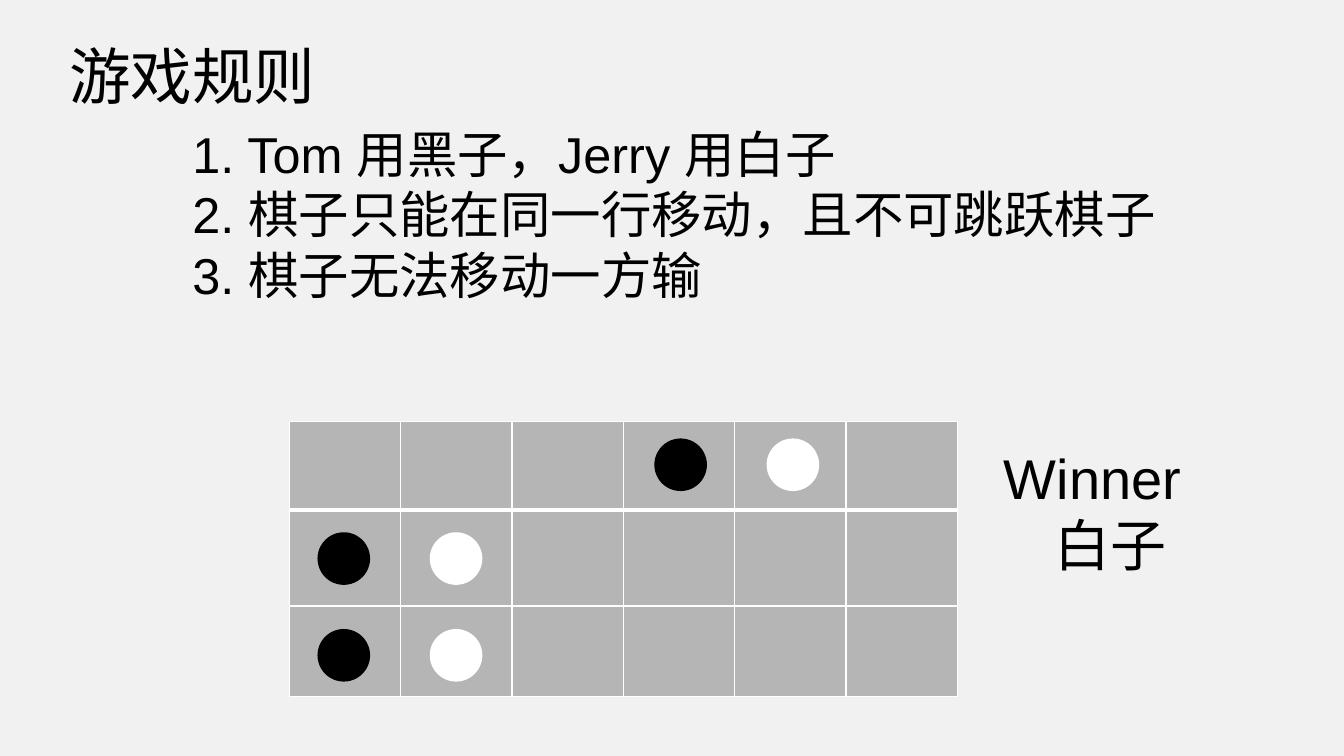
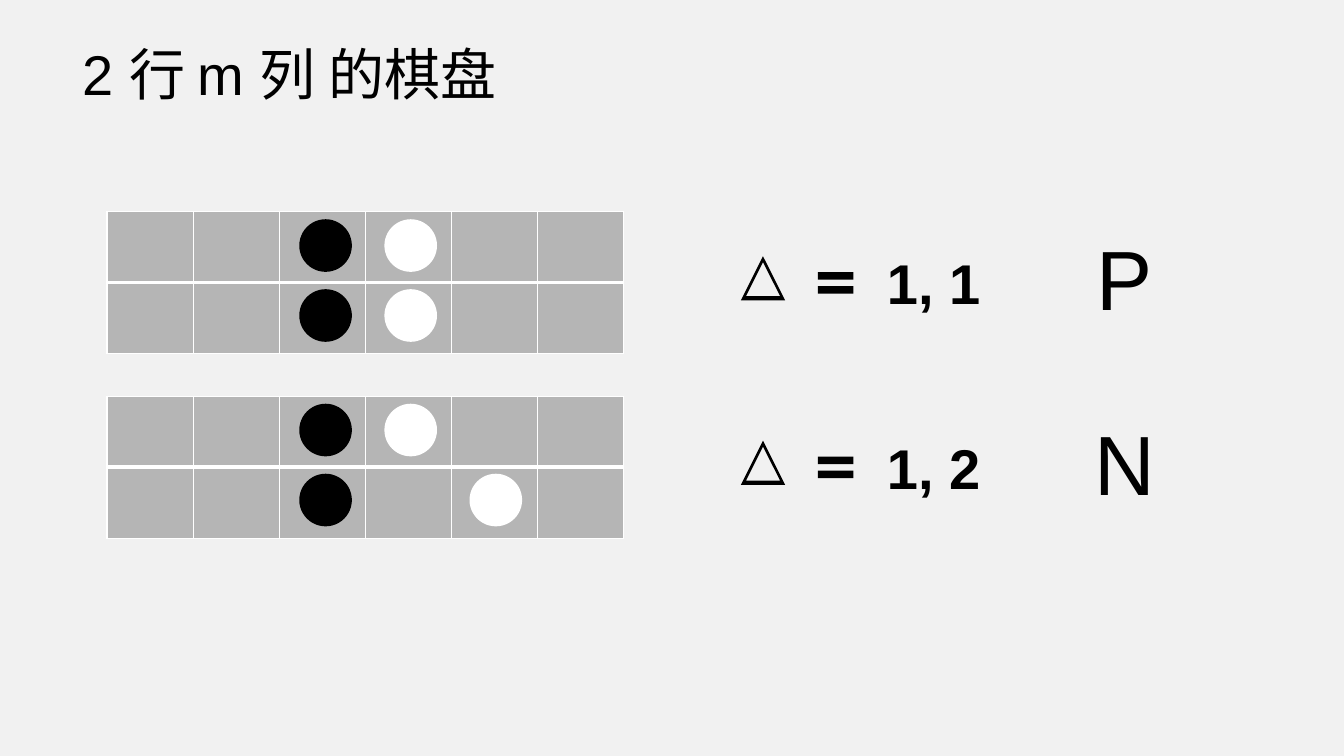
"""Build two slides on a game of black and white pieces."""
from lxml.etree import SubElement as Sub
from pptx import Presentation
from pptx.dml.color import RGBColor as RGB
from pptx.enum.shapes import MSO_SHAPE as Kind
from pptx.enum.text import PP_ALIGN as Align
from pptx.oxml.ns import qn
from pptx.util import Pt

INK = {"back": "F1F1F1", "cell": "B5B5B5", "black": "000000", "white": "FFFFFF"}
FONT = "Arial"
DISC = 37.6
COLS = 6


def paint(fill, name):
    fill.solid()
    fill.fore_color.rgb = RGB.from_string(INK[name])


def label(shapes, box, text, size, align=Align.LEFT, bold=False):
    frame = shapes.add_textbox(*map(Pt, box)).text_frame
    frame.word_wrap = True
    frame.text = text
    for para in frame.paragraphs:
        para.alignment = align
        for run in para.runs:
            font = run.font
            font.name, font.size, font.bold = FONT, Pt(size), bold
            font.color.rgb = RGB.from_string(INK["black"])


def plain(shape, name):
    shape.shadow.inherit = False
    paint(shape.fill, name)
    shape.line.fill.background()


def edge(cell, side, width):
    line = Sub(cell._tc.get_or_add_tcPr(), qn("a:ln" + side), w=str(Pt(width)))
    Sub(Sub(line, qn("a:solidFill")), qn("a:srgbClr"), val=INK["white"])


def board(shapes, left, top, pitch, rows):
    size = Pt(pitch * COLS), Pt(sum(rows))
    grid = shapes.add_table(len(rows), COLS, Pt(left), Pt(top), *size).table
    grid.first_row = grid.horz_banding = False
    for col in grid.columns:
        col.width = Pt(pitch)
    for i, high in enumerate(rows):
        grid.rows[i].height = Pt(high)
        wide = {"T": 3 if i == 1 else 1, "B": 3 if i == 0 else 1}
        for cell in grid.rows[i].cells:
            for side in "LRTB":
                edge(cell, side, wide.get(side, 1))
            paint(cell.fill, "cell")


def discs(shapes, left, pitch, tops, spots):
    for top, pair in zip(tops, spots):
        for name, col in zip(("black", "white"), pair):
            box = left + col * pitch, top, DISC, DISC
            plain(shapes.add_shape(Kind.OVAL, *map(Pt, box)), name)


def delta(shapes, left, top):
    inner = [(15.8, 4.3), (3.6, 28.6), (28.1, 28.6)]
    outer = [(15.8, 0), (31.6, 31.6), (0, 31.6)]
    paths = [[(Pt(left + x), Pt(top + y)) for x, y in path] for path in (inner, outer)]
    form = shapes.build_freeform(*paths[0][0])
    form.add_line_segments(paths[0][1:])
    form.move_to(*paths[1][0])
    form.add_line_segments(paths[1][1:])
    plain(form.convert_to_shape(), "black")


def state(shapes, top, spots, gaps, kind):
    board(shapes, 76.4, top, 61.56, [50.7, 50.7])
    discs(shapes, 92.2, 60.8, [top + 5.4, top + 55.4], spots)
    group = shapes.add_group_shape().shapes
    delta(group, 529.2, top + 31.8)
    box = 579.6, top + 31.8, 34.6, 38.2
    equal = group.add_shape(Kind.MATH_EQUAL, *map(Pt, box))
    equal.adjustments[0], equal.adjustments[1] = 0.14, 0.118
    plain(equal, "black")
    label(group, (626.4, top + 23, 85, 55.4), gaps, 40, bold=True)
    label(shapes, (769.7, top + 7.2, 67, 80), kind, 60, Align.CENTER)


def rules(shapes):
    label(shapes, (31.7, 23.8, 211.7, 60.5), "游戏规则", 44, Align.CENTER)
    board(shapes, 206.6, 301, 79.56, [63.4, 68.4, 64.8])
    text = "1. Tom 用黑子，Jerry 用白子\n2. 棋子只能在同一行移动，且不可跳跃棋子\n3. 棋子无法移动一方输"
    label(shapes, (130.3, 84.2, 738.7, 138.2), text, 36)
    discs(shapes, 226.8, 80.2, [313.2, 380.2, 449.3], [(3, 4), (0, 1), (0, 1)])
    label(shapes, (709.9, 313.2, 173.5, 104.4), "Winner\n\t白子", 40)


def states(shapes):
    label(shapes, (23.8, 24.5, 365.8, 55.4), "2 行 m 列 的棋盘", 40, Align.CENTER)
    state(shapes, 151.2, [(2, 3), (2, 3)], "1, 1", "P")
    state(shapes, 283, [(2, 3), (2, 4)], "1, 2", "N")


def main():
    deck = Presentation()
    deck.slide_width, deck.slide_height = Pt(960), Pt(540)
    paint(deck.slide_master.background.fill, "back")
    for draw in (rules, states):
        draw(deck.slides.add_slide(deck.slide_layouts[6]).shapes)
    deck.save("out.pptx")


if __name__ == "__main__":
    main()
